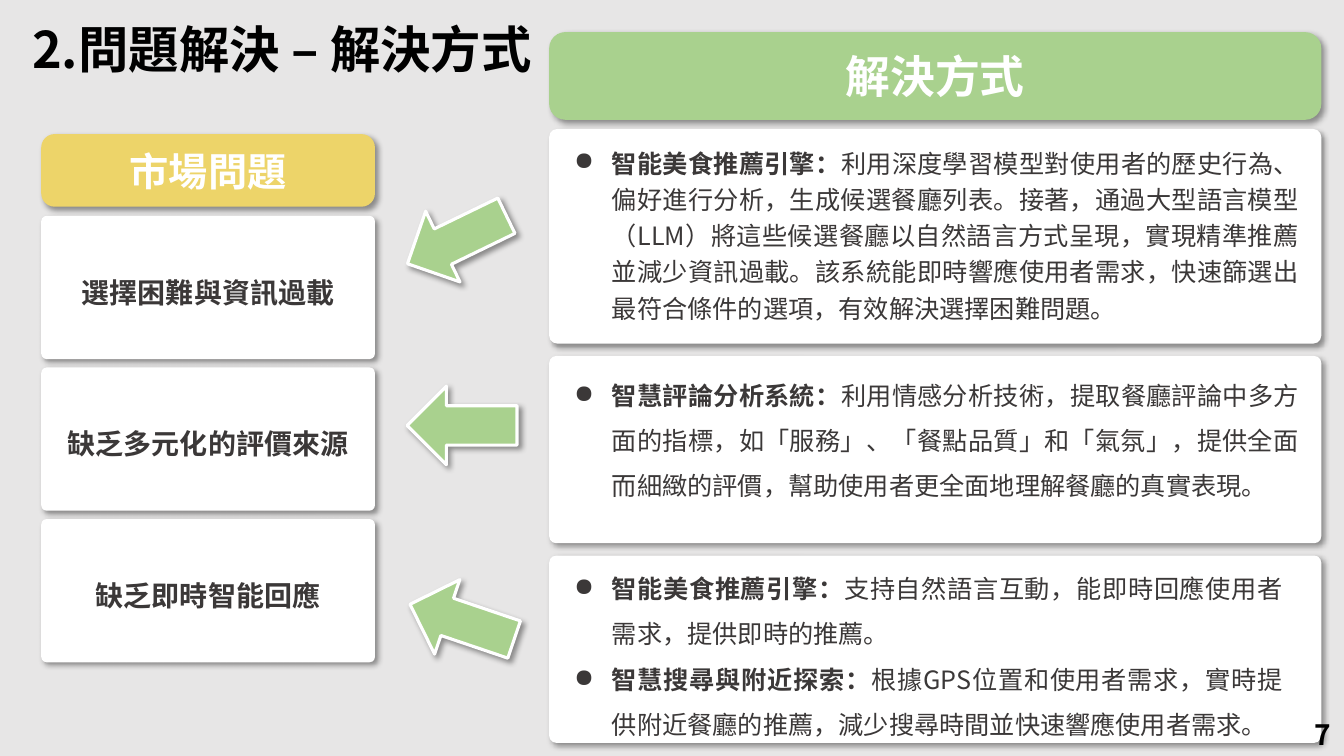
from dataclasses import dataclass

from lxml import etree
from pptx import Presentation
from pptx import util as u
from pptx.dml.color import RGBColor
from pptx.enum import shapes, text
from pptx.oxml import ns, parse_xml

Cm = u.Cm
KIND = shapes.MSO_SHAPE
ALIGN = text.PP_ALIGN


@dataclass(frozen=True)
class Theme:
    face: str = "Noto Sans CJK SC"
    back: str = "E7E6E6"
    white: str = "FFFFFF"
    black: str = "000000"
    ink: str = "3B3838"
    green: str = "A9D18E"
    gold: str = "EDD469"
    title: int = 36
    large: int = 32
    head: int = 28
    label: int = 20
    body: int = 18


T = Theme()

# Left column: problem, width of its label
ISSUES = [
    ("選擇困難與資訊過載", 7.11),
    ("缺乏多元化的評價來源", 7.77),
    ("缺乏即時智能回應", 7.11),
]

# Right column: panel top, height; text top, width, height; spacing; points
ANSWERS = [
    (3.25, 5.41, 3.45, 18.77, 4.8, 1.2, [
        ("智能美食推薦引擎：",
         "利用深度學習模型對使用者的歷史行為、偏好進行分析，生成候選餐廳列表。"
         "接著，通過大型語言模型（LLM）將這些候選餐廳以自然語言方式呈現，"
         "實現精準推薦並減少資訊過載。該系統能即時響應使用者需求，"
         "快速篩選出最符合條件的選項，有效解決選擇困難問題。")]),
    (8.97, 4.72, 9.07, 18.77, 3.58, 1.5, [
        ("智慧評論分析系統：",
         "利用情感分析技術，提取餐廳評論中多方面的指標，"
         "如「服務」、「餐點品質」和「氣氛」，提供全面而細緻的評價，"
         "幫助使用者更全面地理解餐廳的真實表現。")]),
    (14, 4.72, 13.94, 18.36, 4.8, 1.5, [
        ("智能美食推薦引擎：",
         "支持自然語言互動，能即時回應使用者需求，提供即時的推薦。"),
        ("智慧搜尋與附近探索：",
         "根據GPS位置和使用者需求，實時提供附近餐廳的推薦，"
         "減少搜尋時間並快速響應使用者需求。")]),
]

# Arrows: left, top, rotation
ARROWS = [(10.13, 5.05, 154.1), (10.26, 9.73, 180), (10.26, 14.68, 198.7)]


def rgb(code):
    return RGBColor.from_string(code)


def style(para, size, color, bold=None):
    font = para.font
    font.size = u.Pt(size)
    font.bold = bold
    font.color.rgb = rgb(color)
    font.name = T.face
    latin = font._element.find(ns.qn("a:latin"))
    east = etree.Element(ns.qn("a:ea"), typeface=T.face)
    latin.addnext(east)


def shade(shape):
    shape.shadow.inherit = False
    props = shape._element.spPr
    props.remove(props.find(ns.qn("a:effectLst")))
    props.append(parse_xml(
        f'<a:effectLst {ns.nsdecls("a")}>'
        f'<a:outerShdw blurRad="{u.Pt(4)}" dist="{u.Pt(3)}" dir="2700000" '
        'algn="tl" rotWithShape="0">'
        f'<a:srgbClr val="{T.black}"><a:alpha val="40000"/></a:srgbClr>'
        '</a:outerShdw></a:effectLst>'))


def block(slide, kind, box, fill):
    shape = slide.shapes.add_shape(kind, *map(Cm, box))
    shape.fill.solid()
    shape.fill.fore_color.rgb = rgb(fill)
    shape.line.fill.background()
    shade(shape)
    return shape


def card(slide, box, fill=T.white, curve=0.038):
    shape = block(slide, KIND.ROUNDED_RECTANGLE, box, fill)
    shape.adjustments[0] = curve
    return shape


def header(slide, box, fill, words, size):
    frame = card(slide, box, fill, 0.185).text_frame
    frame.vertical_anchor = text.MSO_ANCHOR.MIDDLE
    para = frame.paragraphs[0]
    para.text = words
    para.alignment = ALIGN.CENTER
    style(para, size, T.white, True)


def arrow(slide, left, top, turn):
    shape = block(slide, KIND.RIGHT_ARROW, (left, top, 2.77, 1.98), T.green)
    shape.line.color.rgb = rgb(T.white)
    shape.line.width = u.Pt(2.25)
    shape.rotation = turn


def area(slide, box, wrap=True):
    frame = slide.shapes.add_textbox(*map(Cm, box)).text_frame
    frame.word_wrap = wrap
    return frame


def line(slide, box, words, size, color, align=ALIGN.LEFT, gap=None, wrap=True):
    para = area(slide, box, wrap).paragraphs[0]
    para.text = words
    para.alignment = align
    para.line_spacing = gap
    style(para, size, color, True)


def points(slide, box, gap, items):
    frame = area(slide, box)
    for i, (lead, rest) in enumerate(items):
        para = frame.add_paragraph() if i else frame.paragraphs[0]
        para.alignment = ALIGN.JUSTIFY
        para.line_spacing = gap
        props = para._p.get_or_add_pPr()
        props.set("marL", str(Cm(0.95)))
        props.set("indent", str(-Cm(0.95)))
        etree.SubElement(props, ns.qn("a:buChar"), char="●")
        style(para, T.body, T.ink)
        for words, bold in ((lead, True), (rest, False)):
            run = para.add_run()
            run.text = words
            run.font.bold = bold


def main():
    deck = Presentation()
    deck.slide_width, deck.slide_height = Cm(33.87), Cm(19.05)
    slide = deck.slides.add_slide(deck.slide_layouts[6])
    slide.background.fill.solid()
    slide.background.fill.fore_color.rgb = rgb(T.back)

    # Title
    line(slide, (0.56, 0.33, 15.98, 1.8), "2.問題解決 – 解決方式",
         T.title, T.black)

    # Solutions
    left, wide = 13.84, 19.46
    header(slide, (left, 0.81, wide, 2.21), T.green, "解決方式", T.large)
    for top, high, start, span, depth, gap, items in ANSWERS:
        card(slide, (left, top, wide, high))
        points(slide, (14.22, start, span, depth), gap, items)

    # Problems
    left, wide = 1.04, 8.41
    header(slide, (left, 3.38, wide, 1.83), T.gold, "市場問題", T.head)
    for i, (words, span) in enumerate(ISSUES):
        top = 5.44 + 3.82 * i
        card(slide, (left, top, wide, 3.61))
        line(slide, (left + (wide - span) / 2, top + 1.2, span, 1.19), words,
             T.label, T.ink, ALIGN.CENTER, 1.2)

    # Arrows from solutions to problems
    for spot in ARROWS:
        arrow(slide, *spot)

    # Page number
    line(slide, (32.89, 17.96, 0.95, 1.09), "7", T.label, T.black, wrap=False)

    deck.save("out.pptx")


if __name__ == "__main__":
    main()
